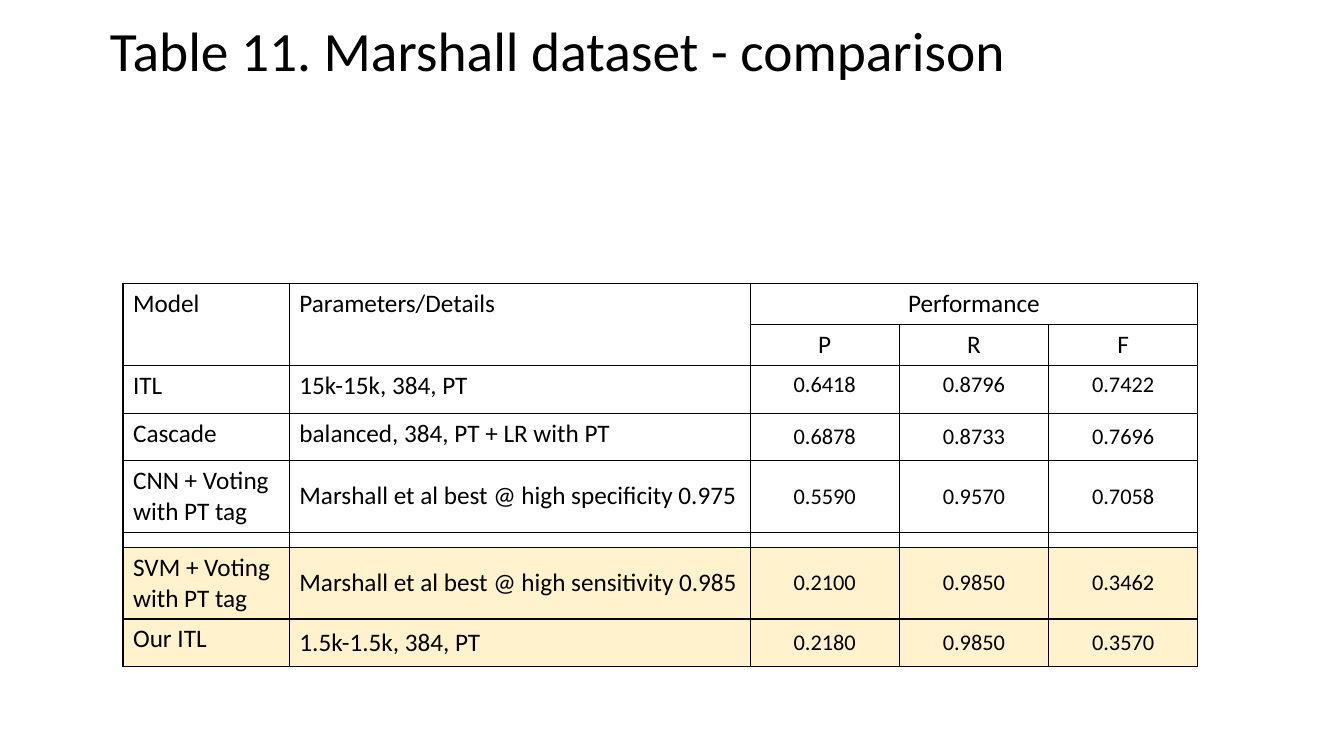
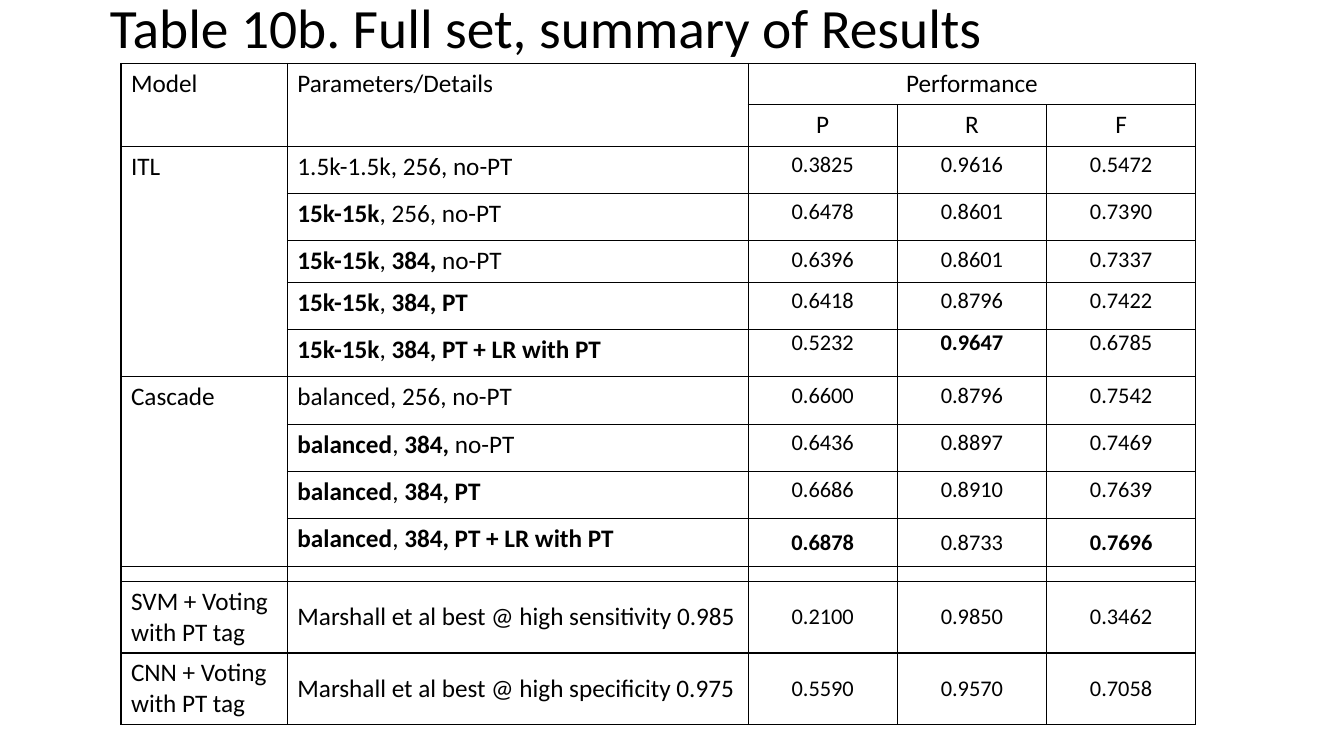
from dataclasses import dataclass

from lxml.etree import SubElement
from pptx import Presentation
from pptx.dml.color import RGBColor
from pptx.enum.text import MSO_ANCHOR, MSO_AUTO_SIZE, PP_ALIGN
from pptx.oxml.ns import qn
from pptx.util import Inches, Pt


@dataclass(frozen=True)
class Theme:
    font: str = "Calibri"
    ink: str = "000000"
    highlight: str = "FFF2CC"
    title_size: float = 39.6
    text_size: int = 18
    value_size: int = 16
    gap_size: int = 8
    border: int = 1


THEME = Theme()
TOP, MIDDLE = MSO_ANCHOR.TOP, MSO_ANCHOR.MIDDLE
COLUMNS = [1.65, 4.57, 1.48, 1.48, 1.48]
HEAD, ROW, TALL, GAP = 0.41, 0.47, 0.71, 0.15
PAD = 0.05

# style: anchor of details, anchor of values, vertical padding of values
STYLES = {
    "top": (TOP, TOP, PAD),
    "flush": (TOP, TOP, 0),
    "low": (TOP, MIDDLE, 0),
    "middle": (MIDDLE, MIDDLE, 0),
}

# model (None continues the one above), details, values, height, style;
# ** switches bold on and off
SEPARATOR = ("", "", "", GAP, "top")
SVM = ("SVM + Voting with PT tag", "Marshall et al best @ high sensitivity 0.985",
       "0.2100 0.9850 0.3462", TALL, "middle")
CNN = ("CNN + Voting with PT tag", "Marshall et al best @ high specificity 0.975",
       "0.5590 0.9570 0.7058", TALL, "middle")

SLIDES = [
    dict(
        title="Table 11. Marshall dataset - comparison",
        title_height=0.72, left=1.22, top=2.81, highlighted=2,
        rows=[
            ("ITL", "15k-15k, 384, PT", "0.6418 0.8796 0.7422", ROW, "top"),
            ("Cascade", "balanced, 384, PT + LR with PT", "0.6878 0.8733 0.7696", ROW, "low"),
            CNN,
            SEPARATOR,
            SVM,
            ("Our ITL", "1.5k-1.5k, 384, PT", "0.2180 0.9850 0.3570", ROW, "middle"),
        ],
    ),
    dict(
        title="Table 10b. Full set, summary of Results",
        title_height=0.27, left=1.2, top=0.63, highlighted=0,
        rows=[
            ("ITL", "1.5k-1.5k, 256, no-PT", "0.3825 0.9616 0.5472", ROW, "top"),
            (None, "**15k-15k**, 256, no-PT", "0.6478 0.8601 0.7390", ROW, "top"),
            (None, "**15k-15k**, **384, **no-PT", "0.6396 0.8601 0.7337", HEAD, "top"),
            (None, "**15k-15k**, **384, PT**", "0.6418 0.8796 0.7422", ROW, "top"),
            (None, "**15k-15k**, **384, PT + LR with PT**", "0.5232 **0.9647** 0.6785", ROW, "flush"),
            ("Cascade", "balanced, 256, no-PT", "0.6600 0.8796 0.7542", ROW, "top"),
            (None, "**balanced**, **384, **no-PT", "0.6436 0.8897 0.7469", ROW, "top"),
            (None, "**balanced**, **384, PT**", "0.6686 0.8910 0.7639", ROW, "top"),
            (None, "**balanced**, **384, PT + LR with PT**", "**0.6878** 0.8733 **0.7696**", ROW, "low"),
            SEPARATOR,
            SVM,
            CNN,
        ],
    ),
]


def write(p, text, size, align=PP_ALIGN.LEFT):
    """Add text to a paragraph, with parts between ** in bold."""
    p.alignment = align
    for i, part in enumerate(text.split("**")):
        if part:
            r = p.add_run()
            r.text = part
            r.font.name, r.font.size, r.font.bold = THEME.font, Pt(size), i % 2 == 1
            r.font.color.rgb = RGBColor.from_string(THEME.ink)


def add_title(s, text, height):
    title = s.shapes.title
    title.left, title.top = Inches(0.99), Inches(0.17)
    title.width, title.height = Inches(11.5), Inches(height)
    tf = title.text_frame
    tf.auto_size, tf.vertical_anchor, tf.word_wrap = MSO_AUTO_SIZE.NONE, MIDDLE, True
    tf.paragraphs[0].line_spacing = 0.9
    write(tf.paragraphs[0], text, THEME.title_size)


def format_cell(cell, fill=None):
    """Draw the four borders, then set the fill, as the schema orders them."""
    tcPr = cell._tc.get_or_add_tcPr()
    for side in ("lnL", "lnR", "lnT", "lnB"):
        ln = SubElement(tcPr, qn(f"a:{side}"), w=str(Pt(THEME.border)))
        SubElement(SubElement(ln, qn("a:solidFill")), qn("a:srgbClr"), val=THEME.ink)
    if fill:
        cell.fill.solid()
        cell.fill.fore_color.rgb = RGBColor.from_string(fill)
    else:
        cell.fill.background()


def fill_cell(cell, text, size=THEME.text_size, align=PP_ALIGN.LEFT, anchor=TOP, pad=PAD):
    cell.vertical_anchor = anchor
    cell.margin_top = cell.margin_bottom = Inches(pad)
    write(cell.text_frame.paragraphs[0], text, size, align)


def shrink_cell(cell):
    """Let an empty cell be as low as its separator row."""
    cell.margin_top = cell.margin_bottom = 0
    SubElement(cell.text_frame.paragraphs[0]._p, qn("a:endParaRPr"),
               sz=str(THEME.gap_size * 100))


def add_header(table):
    for c, text in enumerate(["Model", "Parameters/Details"]):
        table.cell(0, c).merge(table.cell(1, c))
        fill_cell(table.cell(0, c), text)
    table.cell(0, 2).merge(table.cell(0, 4))
    fill_cell(table.cell(0, 2), "Performance", align=PP_ALIGN.CENTER)
    for c, text in enumerate("PRF", 2):
        fill_cell(table.cell(1, c), text, align=PP_ALIGN.CENTER)


def add_results(s, left, top, rows, highlighted):
    heights = [HEAD, HEAD] + [row[3] for row in rows]
    table = s.shapes.add_table(len(heights), len(COLUMNS), Inches(left), Inches(top),
                               Inches(sum(COLUMNS)), Inches(sum(heights))).table
    table.first_row = table.horz_banding = False
    for column, width in zip(table.columns, COLUMNS):
        column.width = Inches(width)
    for n, (row, height) in enumerate(zip(table.rows, heights)):
        row.height = Inches(height)
        for cell in row.cells:
            format_cell(cell, THEME.highlight if n >= len(heights) - highlighted else None)

    add_header(table)
    for n, (model, details, values, _, style) in enumerate(rows, 2):
        if not details:
            for cell in table.rows[n].cells:
                shrink_cell(cell)
            continue
        details_anchor, value_anchor, pad = STYLES[style]
        if model:
            fill_cell(table.cell(n, 0), model)
        fill_cell(table.cell(n, 1), details, anchor=details_anchor)
        for c, value in enumerate(values.split(), 2):
            fill_cell(table.cell(n, c), value, THEME.value_size, PP_ALIGN.CENTER,
                      value_anchor, pad)

    starts = [n for n, row in enumerate(rows, 2) if row[0] is not None]
    for first, after in zip(starts, starts[1:] + [len(heights)]):
        if after - first > 1:
            table.cell(first, 0).merge(table.cell(after - 1, 0))


def main():
    prs = Presentation()
    prs.slide_width, prs.slide_height = Inches(13.33), Inches(7.5)
    for content in SLIDES:
        s = prs.slides.add_slide(prs.slide_layouts[5])
        add_title(s, content["title"], content["title_height"])
        add_results(s, content["left"], content["top"], content["rows"], content["highlighted"])
    prs.save("out.pptx")


if __name__ == "__main__":
    main()
